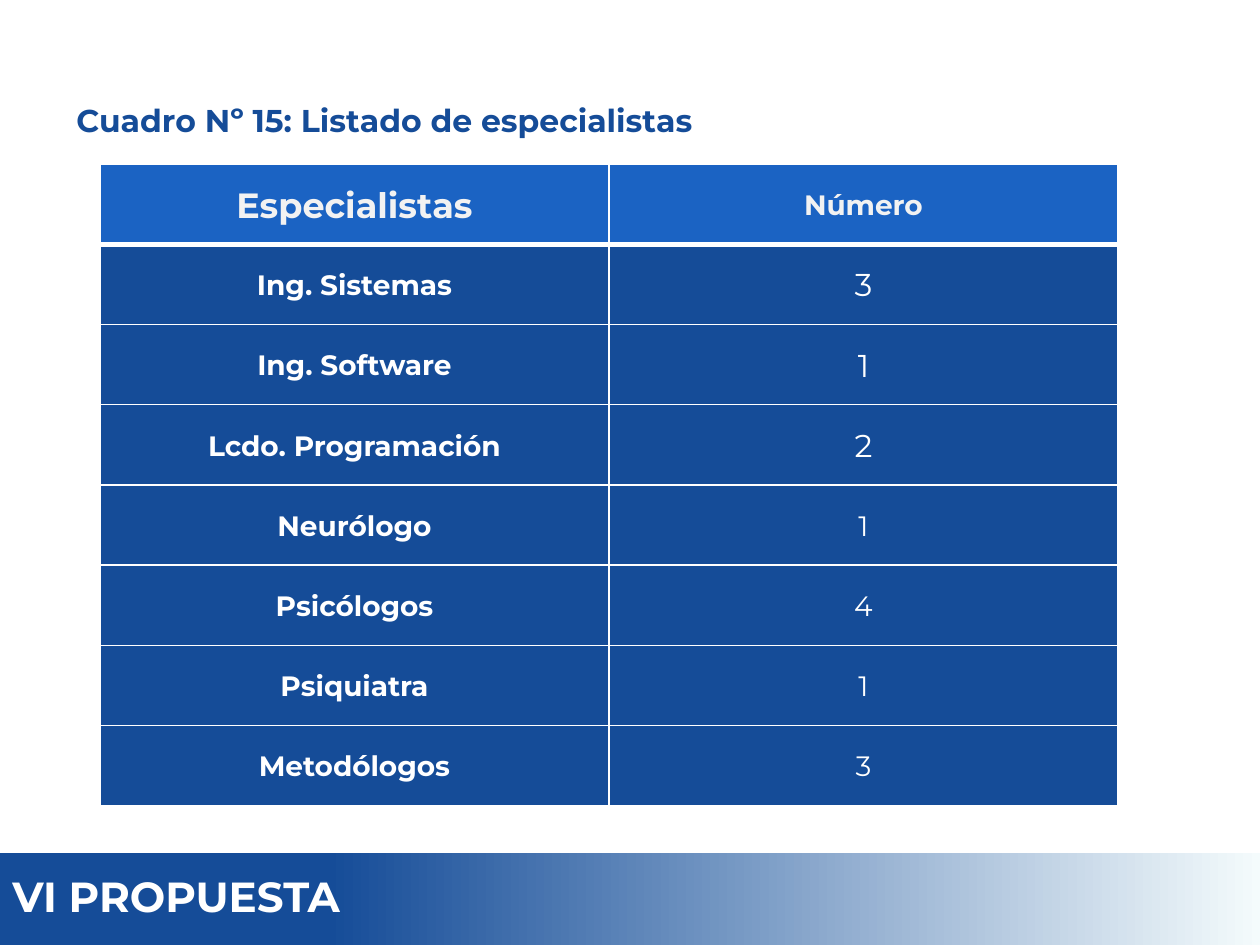
from dataclasses import dataclass

from lxml import etree
from pptx import Presentation
from pptx.dml.color import RGBColor
from pptx.enum.shapes import MSO_SHAPE
from pptx.enum.text import MSO_ANCHOR, MSO_AUTO_SIZE, PP_ALIGN
from pptx.oxml.ns import qn
from pptx.util import Emu, Pt

RECTANGLE = MSO_SHAPE.RECTANGLE
MIDDLE = MSO_ANCHOR.MIDDLE
LEFT, CENTER = PP_ALIGN.LEFT, PP_ALIGN.CENTER
GROW = MSO_AUTO_SIZE.SHAPE_TO_FIT_TEXT

EMU_PER_PX = 914400 / 126
SLIDE_WIDTH, SLIDE_HEIGHT = 1260, 945


@dataclass(frozen=True)
class Theme:
    font: str = "Montserrat"
    navy: str = "154C98"
    header_blue: str = "1B63C3"
    header_text: str = "F2F2F2"
    pale: str = "F4FBFC"
    white: str = "FFFFFF"
    section_size: int = 24
    header_size: int = 20
    title_size: int = 18
    body_size: int = 16
    thin_rule: int = 1
    header_rule: int = 3


THEME = Theme()

HEADERS = [("Especialistas", THEME.header_size), ("Número", THEME.body_size)]
# Specialist, count, type size of the count
SPECIALISTS = [
    ("Ing. Sistemas", 3, THEME.title_size),
    ("Ing. Software", 1, THEME.title_size),
    ("Lcdo. Programación", 2, THEME.title_size),
    ("Neurólogo", 1, THEME.body_size),
    ("Psicólogos", 4, THEME.body_size),
    ("Psiquiatra", 1, THEME.body_size),
    ("Metodólogos", 3, THEME.body_size),
]


def px(length):
    return Emu(round(length * EMU_PER_PX))


def box(left, top, width, height):
    return px(left), px(top), px(width), px(height)


def write(frame, text, *, size, color, bold=True, align=LEFT,
          line_spacing=None, space_after=None):
    paragraph = frame.paragraphs[0]
    paragraph.alignment = align
    paragraph.line_spacing = line_spacing
    if space_after is not None:
        paragraph.space_after = Pt(space_after)
    run = paragraph.add_run()
    run.text = text
    run.font.name = THEME.font
    run.font.size = Pt(size)
    run.font.bold = bold
    run.font.color.rgb = RGBColor.from_string(color)


def add_section_band(slide, text):
    band = slide.shapes.add_shape(RECTANGLE, *box(0, 853, SLIDE_WIDTH, 92))
    band.shadow.inherit = False
    band.line.fill.background()
    band.fill.gradient()
    band.fill.gradient_angle = 180
    stops = [(0, THEME.pale), (0.74, THEME.navy)]
    for stop, (position, color) in zip(band.fill.gradient_stops, stops):
        stop.position = position
        stop.color.rgb = RGBColor.from_string(color)
    band.text_frame.vertical_anchor = MIDDLE
    write(band.text_frame, text, size=THEME.section_size, color=THEME.white,
          line_spacing=0.9)


def add_title(slide, text):
    frame = slide.shapes.add_textbox(*box(64, 95, 698, 50)).text_frame
    frame.word_wrap = False
    frame.auto_size = GROW
    frame.vertical_anchor = MIDDLE
    write(frame, text, size=THEME.title_size, color=THEME.navy)


def set_borders(cell, top, bottom):
    """Rule all four sides in white; top and bottom are widths in points."""
    properties = cell._tc.get_or_add_tcPr()
    widths = {"a:lnL": THEME.thin_rule, "a:lnR": THEME.thin_rule,
              "a:lnT": top, "a:lnB": bottom}
    for side, width in widths.items():
        rule = etree.SubElement(properties, qn(side), w=str(Pt(width)))
        fill = etree.SubElement(rule, qn("a:solidFill"))
        etree.SubElement(fill, qn("a:srgbClr"), val=THEME.white)


def fill_cell(cell, text, *, fill, top=THEME.thin_rule,
              bottom=THEME.thin_rule, **text_format):
    set_borders(cell, top, bottom)
    cell.fill.solid()
    cell.fill.fore_color.rgb = RGBColor.from_string(fill)
    cell.vertical_anchor = MIDDLE
    cell.margin_left = cell.margin_right = px(9)
    cell.margin_top = cell.margin_bottom = 0
    write(cell.text_frame, text, align=CENTER, line_spacing=1.07,
          space_after=8, **text_format)


def add_specialists_table(slide):
    table = slide.shapes.add_table(
        len(SPECIALISTS) + 1, len(HEADERS), *box(100, 164, 1018, 642)).table
    table.horz_banding = False
    for column, (label, size) in enumerate(HEADERS):
        fill_cell(table.cell(0, column), label, fill=THEME.header_blue,
                  bottom=THEME.header_rule, size=size,
                  color=THEME.header_text)
    for row, (specialist, count, count_size) in enumerate(SPECIALISTS, 1):
        body = {"fill": THEME.navy, "color": THEME.white,
                "top": THEME.header_rule if row == 1 else THEME.thin_rule}
        fill_cell(table.cell(row, 0), specialist, size=THEME.body_size, **body)
        fill_cell(table.cell(row, 1), str(count), size=count_size,
                  bold=False, **body)


def main():
    presentation = Presentation()
    presentation.slide_width = px(SLIDE_WIDTH)
    presentation.slide_height = px(SLIDE_HEIGHT)
    slide = presentation.slides.add_slide(presentation.slide_layouts[6])
    add_section_band(slide, "VI PROPUESTA")
    add_title(slide, "Cuadro Nº 15: Listado de especialistas")
    add_specialists_table(slide)
    presentation.save("out.pptx")


if __name__ == "__main__":
    main()
